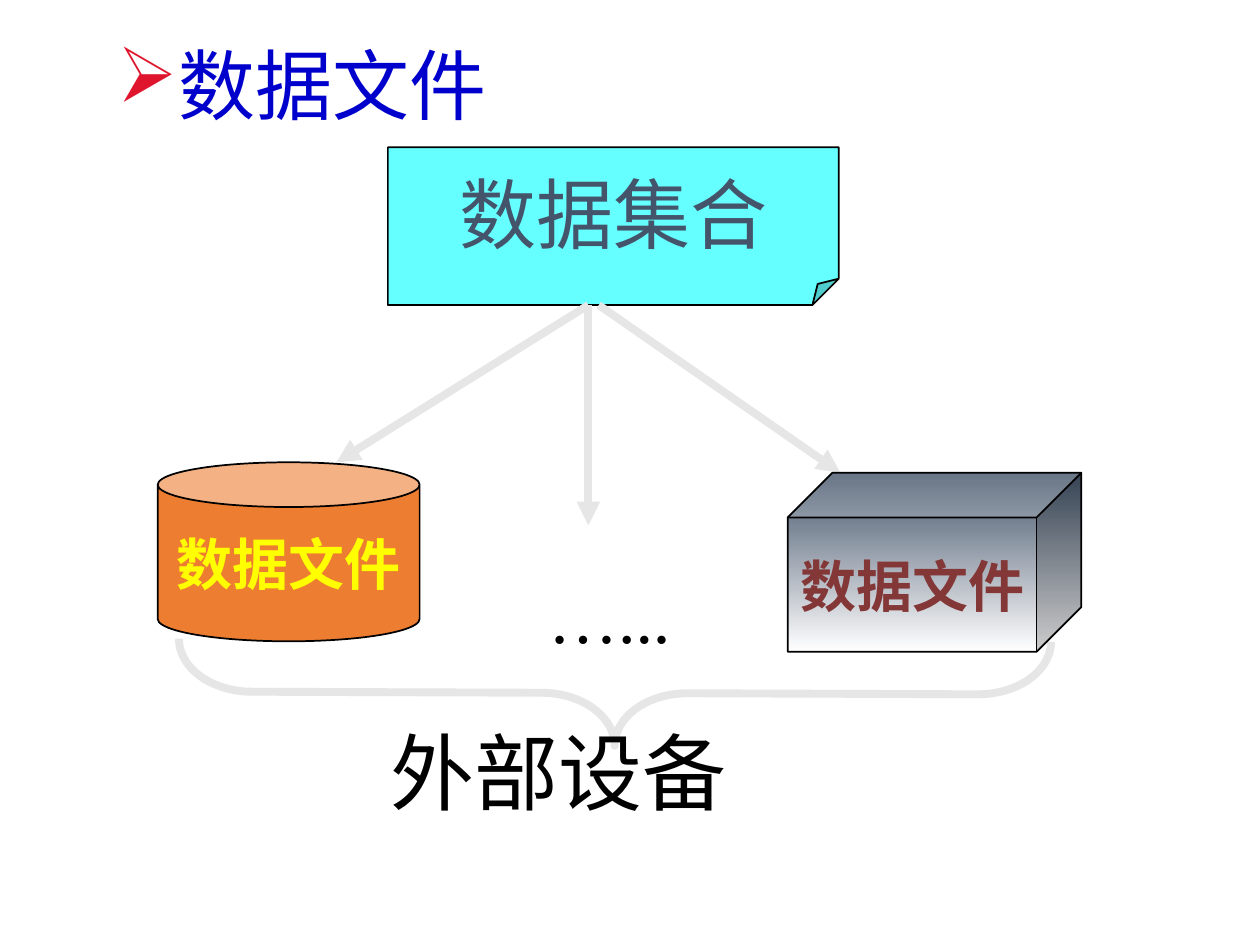
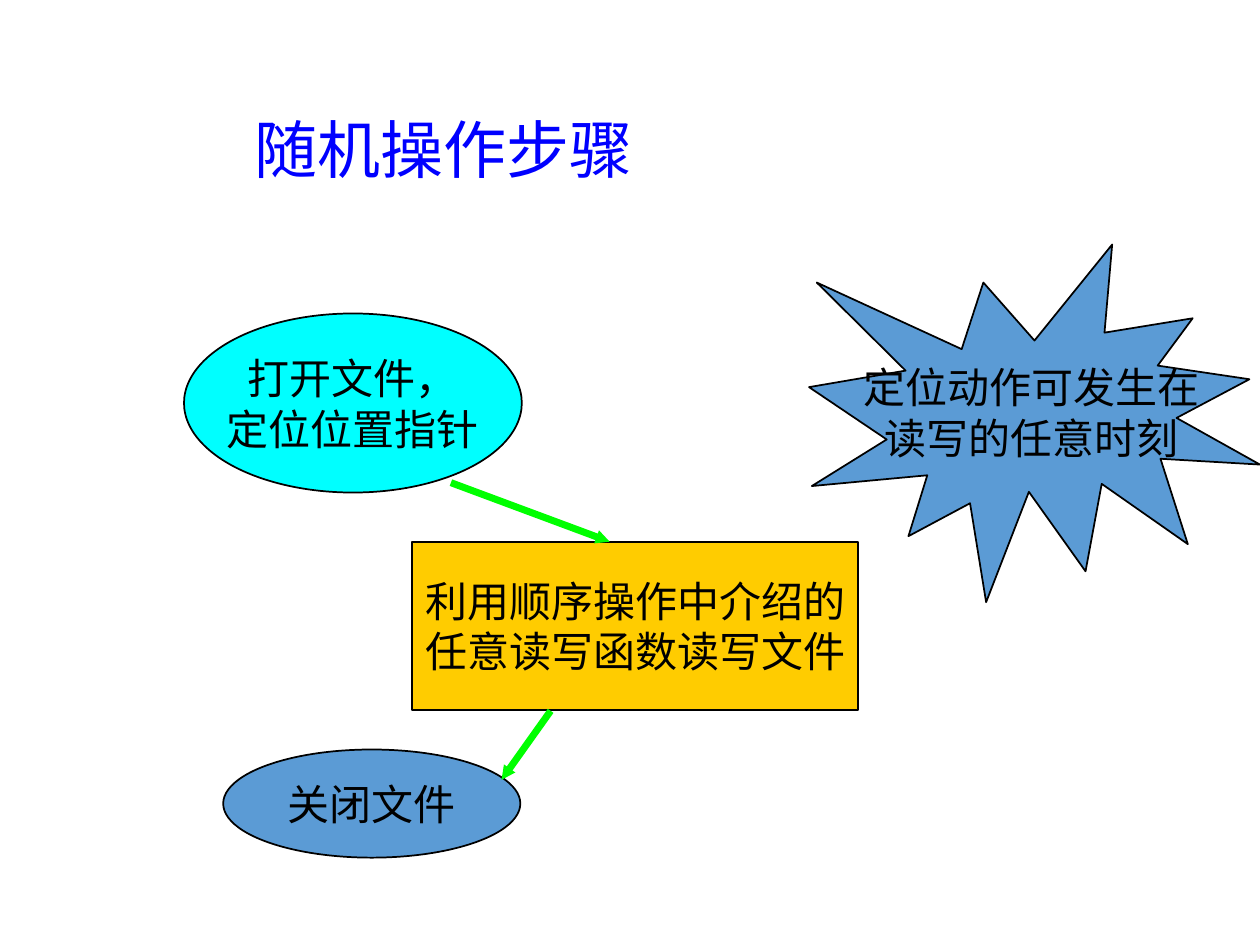
from pptx import Presentation
from pptx.dml.color import RGBColor
from pptx.enum.shapes import MSO_CONNECTOR, MSO_SHAPE as Preset
from pptx.enum.text import MSO_ANCHOR as Anchor, PP_ALIGN as Align
from pptx.oxml.ns import qn
from pptx.util import Cm, Pt
from lxml.etree import SubElement

# Colours
BLACK = RGBColor(0x00, 0x00, 0x00)
WHITE = RGBColor(0xFF, 0xFF, 0xFF)
YELLOW = RGBColor(0xFF, 0xFF, 0x00)
SLATE = RGBColor(0x44, 0x54, 0x6A)
MAROON = RGBColor(0x83, 0x37, 0x37)
ORANGE = RGBColor(0xED, 0x7D, 0x31)
GOLD = RGBColor(0xFF, 0xCC, 0x00)
PALE_CYAN = RGBColor(0x66, 0xFF, 0xFF)
CYAN = RGBColor(0x00, 0xFF, 0xFF)
STEEL_BLUE = RGBColor(0x5B, 0x9B, 0xD5)
LIGHT_GREY = RGBColor(0xE7, 0xE6, 0xE6)
GREEN = RGBColor(0x00, 0xFF, 0x00)
TITLE_NAVY = RGBColor(0x00, 0x00, 0xCC)
TITLE_BLUE = RGBColor(0x00, 0x00, 0xFF)
BULLET_RED = RGBColor(0xDF, 0x15, 0x2D)

# Fonts
SERIF = "Times New Roman"
SANS = "Arial"
CHINESE = "Noto Sans CJK SC"


class Deck:
    """Holds the presentation, the current slide and the shared style."""

    def __init__(self):
        self.presentation = Presentation()
        self.presentation.slide_width = Cm(25.4)
        self.presentation.slide_height = Cm(19.05)
        self.slide = None

    def new_slide(self):
        layout = self.presentation.slide_layouts[6]
        self.slide = self.presentation.slides.add_slide(layout)

    def set_text(self, shape, text, size, color, font=SERIF, bold=False,
                 align=Align.CENTER, wrap=False):
        frame = shape.text_frame
        frame.text = text
        frame.word_wrap = wrap
        for paragraph in frame.paragraphs:
            paragraph.alignment = align
            for run in paragraph.runs:
                run.font.size = Pt(size)
                run.font.bold = bold
                run.font.name = font
                run.font.color.rgb = color
                SubElement(run._r.get_or_add_rPr(), qn("a:ea"),
                           typeface=CHINESE)

    def text_box(self, box, text, size, color=BLACK, **style):
        shape = self.slide.shapes.add_textbox(*map(Cm, box))
        self.set_text(shape, text, size, color, **style)
        return shape

    def bullet(self, shape, character):
        properties = shape.text_frame.paragraphs[0]._p.get_or_add_pPr()
        bullet_color = SubElement(properties, qn("a:buClr"))
        SubElement(bullet_color, qn("a:srgbClr"), val=str(BULLET_RED))
        SubElement(properties, qn("a:buChar"), char=character)

    def node(self, preset, box, fill, text, size=24, color=BLACK, bold=False):
        """A filled, outlined shape; a pair of colours fades downwards."""
        shape = self.slide.shapes.add_shape(preset, *map(Cm, box))
        shape.shadow.inherit = False
        if isinstance(fill, RGBColor):
            shape.fill.solid()
            shape.fill.fore_color.rgb = fill
        else:
            shape.fill.gradient()
            shape.fill.gradient_angle = 270
            for stop, stop_color in zip(shape.fill.gradient_stops, fill):
                stop.color.rgb = stop_color
        shape.line.color.rgb = BLACK
        shape.line.width = Pt(1)
        shape.text_frame.vertical_anchor = Anchor.MIDDLE
        self.set_text(shape, text, size, color, bold=bold)

    def brace(self, box, rotation, curve, middle):
        shape = self.slide.shapes.add_shape(Preset.LEFT_BRACE, *map(Cm, box))
        shape.shadow.inherit = False
        shape.rotation = rotation
        shape.adjustments[0] = curve
        shape.adjustments[1] = middle
        shape.fill.background()
        shape.line.color.rgb = LIGHT_GREY
        shape.line.width = Pt(4.5)

    def arrow(self, start, end, color, width, head="med"):
        connector = self.slide.shapes.add_connector(
            MSO_CONNECTOR.STRAIGHT, *map(Cm, start + end))
        connector.line.color.rgb = color
        connector.line.width = Pt(width)
        properties = connector._element.spPr
        SubElement(properties.get_or_add_ln(), qn("a:tailEnd"),
                   type="triangle", w=head, len=head)
        SubElement(properties, qn("a:effectLst"))


deck = Deck()

# Slide 1: a data set stored as files on external devices
deck.new_slide()
deck.node(Preset.CAN, (3.18, 9.32, 5.28, 3.61), ORANGE,
          "数据文件", 32, YELLOW, bold=True)
deck.node(Preset.FOLDED_CORNER, (7.82, 2.97, 9.09, 3.18), PALE_CYAN,
          "数据集合", 44, SLATE)
for start, end in [((11.86, 6.15), (6.78, 9.32)),
                   ((11.86, 6.15), (11.86, 10.59)),
                   ((12.07, 6.15), (16.94, 9.53))]:
    deck.arrow(start, end, LIGHT_GREY, 4.5)
deck.brace((11.33, 5.18, 2.13, 17.58), 270.2, 0.69, 0.5)
deck.text_box((7.62, 14.4, 9.53, 2.29), "外部设备", 48,
              align=Align.LEFT, wrap=True)
deck.node(Preset.CUBE, (15.88, 9.53, 5.92, 3.61), (SLATE, WHITE),
          "数据文件", 32, MAROON, bold=True)
deck.text_box((10.8, 11.43, 3.18, 1.96), "…...", 40,
              align=Align.LEFT, wrap=True)
title = deck.text_box((2.11, 0.64, 8.46, 2.11), "数据文件", 44, TITLE_NAVY,
                      font=SANS, align=Align.LEFT, wrap=True)
deck.bullet(title, "➢")

# Slide 2: steps of random access
deck.new_slide()
deck.text_box((2.54, 2.11, 12.8, 1.73), "随机操作步骤", 36, TITLE_BLUE,
              font=CHINESE)
deck.node(Preset.OVAL, (3.71, 6.32, 6.81, 3.61), CYAN,
          "打开文件，\n定位位置指针")
deck.node(Preset.RECTANGLE, (8.31, 10.92, 8.99, 3.4), GOLD,
          "利用顺序操作中介绍的\n任意读写函数读写文件")
deck.node(Preset.OVAL, (4.5, 15.11, 5.99, 2.18), STEEL_BLUE, "关闭文件")
for start, end in [((9.09, 9.73), (12.29, 10.92)),
                   ((11.1, 14.33), (10.11, 15.72))]:
    deck.arrow(start, end, GREEN, 4, head="sm")
deck.node(Preset.EXPLOSION1, (16.31, 4.93, 9.09, 7.21), STEEL_BLUE,
          "定位动作可发生在\n读写的任意时刻")

deck.presentation.save("out.pptx")
